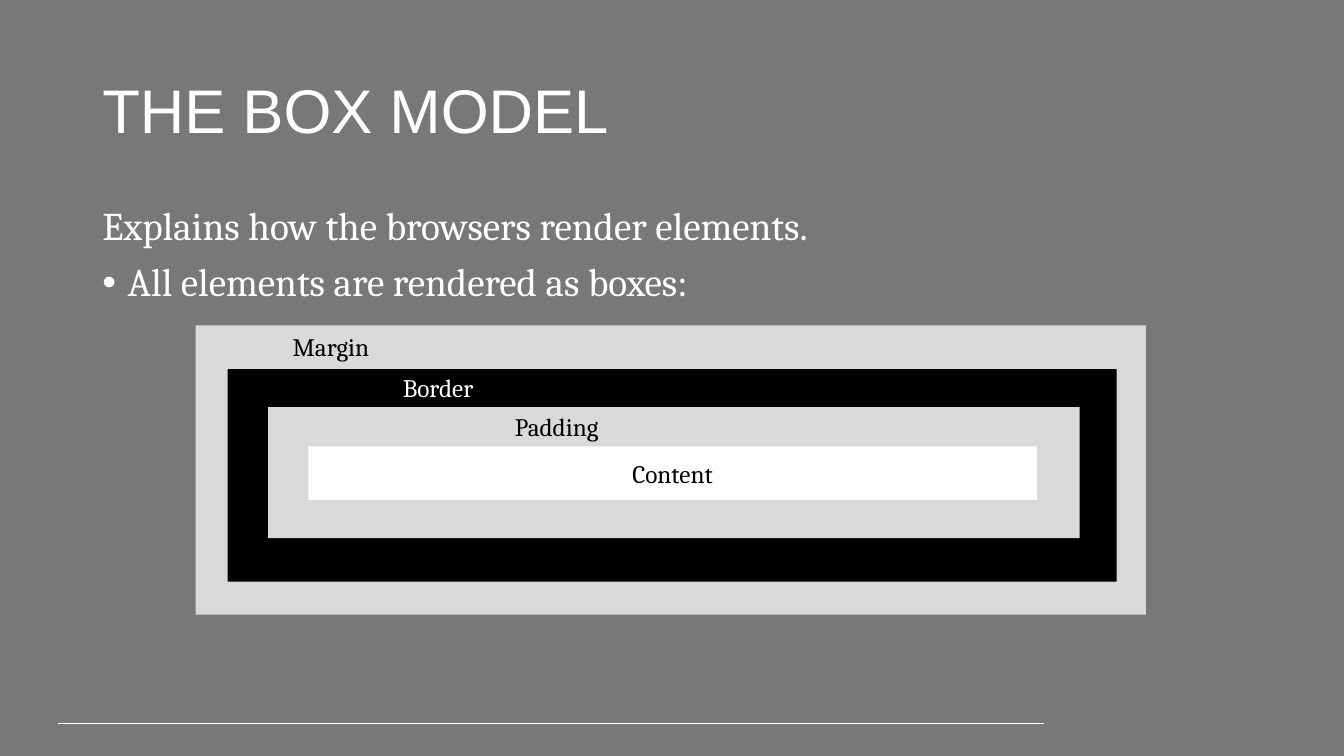
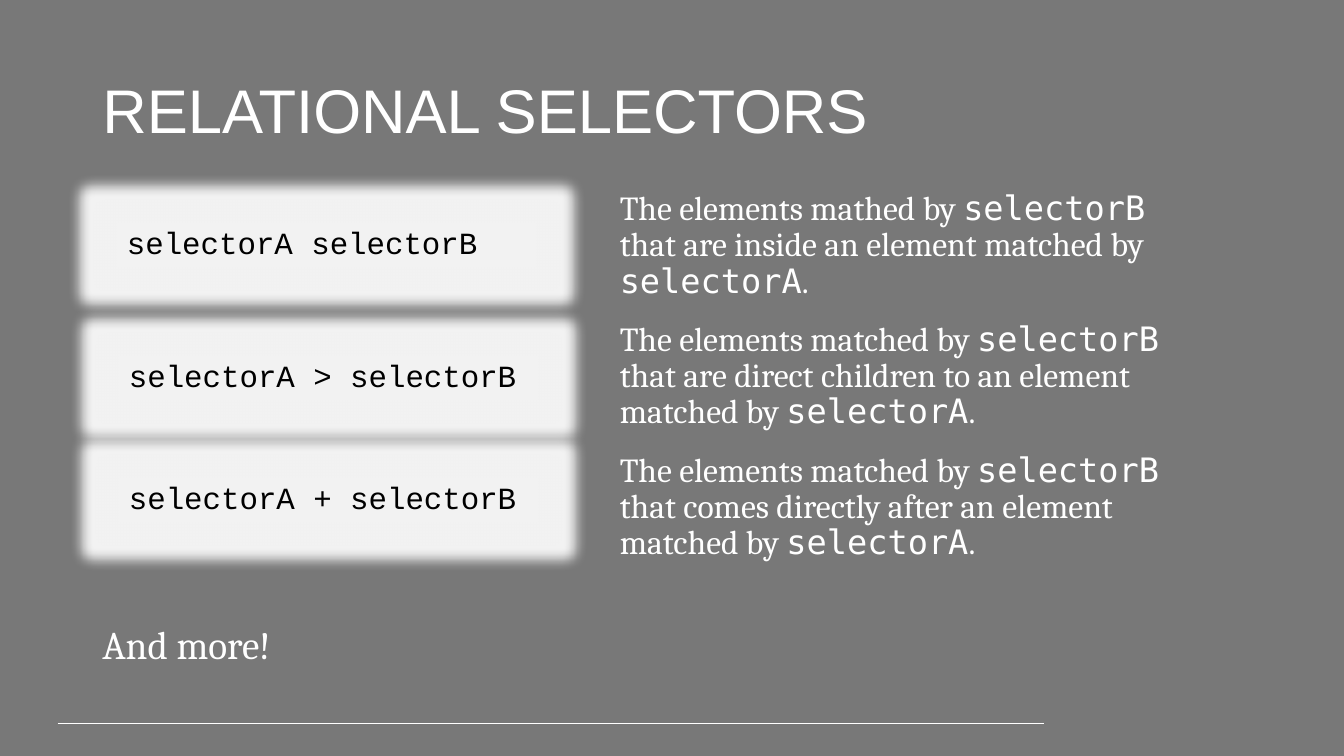
import lxml.etree
import pptx
import pptx.dml.color
import pptx.enum.shapes
import pptx.enum.text
import pptx.oxml.ns
import pptx.util

Cm = pptx.util.Cm
Pt = pptx.util.Pt
RGBColor = pptx.dml.color.RGBColor
ALIGN = pptx.enum.text.PP_ALIGN
ANCHOR = pptx.enum.text.MSO_ANCHOR
qn = pptx.oxml.ns.qn

GREY = RGBColor(0x78, 0x78, 0x78)
WHITE = RGBColor(0xFF, 0xFF, 0xFF)
BLACK = RGBColor(0x00, 0x00, 0x00)
SILVER = RGBColor(0xD9, 0xD9, 0xD9)
PALE = RGBColor(0xF2, 0xF2, 0xF2)

TITLE_FONT = "Arial"
BODY_FONT = "Cambria"
CODE_FONT = "Courier New"
INLINE_CODE_FONT = "DejaVu Sans Mono"

LEFT, WIDTH = 2.33, 29.21


class Deck:
    def __init__(self):
        self.presentation = pptx.Presentation()
        self.presentation.slide_width = Cm(33.87)
        self.presentation.slide_height = Cm(19.05)
        backdrop = self.presentation.slide_master.background.fill
        backdrop.solid()
        backdrop.fore_color.rgb = GREY
        self.slide = None

    def new_slide(self, title):
        self.slide = self.presentation.slides.add_slide(self.presentation.slide_layouts[6])
        footer_rule = self.slide.shapes.add_connector(
            pptx.enum.shapes.MSO_CONNECTOR.STRAIGHT, Cm(1.45), Cm(18.24), Cm(26.31), Cm(18.24))
        footer_rule.line.color.rgb = WHITE
        footer_rule.line.width = Pt(0.75)
        lxml.etree.SubElement(footer_rule._element.spPr, qn("a:effectLst"))
        self.text(LEFT, 1.01, WIDTH, 3.68, [title], 44, TITLE_FONT,
                  before=0, anchor=ANCHOR.MIDDLE, grow=False)

    def fill_text(self, frame, paragraphs, size, font=BODY_FONT, color=WHITE, spacing=0.9,
                  before=10, align=ALIGN.LEFT, anchor=ANCHOR.TOP, grow=True):
        frame.word_wrap = True
        frame.vertical_anchor = anchor
        if grow:
            frame.auto_size = pptx.enum.text.MSO_AUTO_SIZE.SHAPE_TO_FIT_TEXT
        for index, content in enumerate(paragraphs):
            paragraph = frame.add_paragraph() if index else frame.paragraphs[0]
            paragraph.alignment = align
            paragraph.line_spacing = spacing
            paragraph.space_before = Pt(before)
            for position, piece in enumerate(content.split("`")):
                run = paragraph.add_run()
                run.text = piece
                run.font.name = INLINE_CODE_FONT if position % 2 else font
                run.font.size = Pt(size)
                run.font.color.rgb = color

    def text(self, left, top, width, height, paragraphs, size, font=BODY_FONT, **style):
        frame = self.slide.shapes.add_textbox(
            Cm(left), Cm(top), Cm(width), Cm(height)).text_frame
        self.fill_text(frame, paragraphs, size, font, **style)
        return frame

    def bullet(self, paragraph):
        properties = paragraph._p.get_or_add_pPr()
        properties.set("marL", str(Cm(0.64)))
        properties.set("indent", str(-Cm(0.64)))
        lxml.etree.SubElement(properties, qn("a:buFont"), typeface=TITLE_FONT)
        lxml.etree.SubElement(properties, qn("a:buChar"), char="•")

    def label(self, left, top, caption, color):
        self.text(left, top, 6.78, 1.02, [caption], 18, color=color,
                  spacing=1, before=0, align=ALIGN.CENTER)

    def box(self, left, top, width, height, color):
        box = self.slide.shapes.add_shape(
            pptx.enum.shapes.MSO_SHAPE.RECTANGLE, Cm(left), Cm(top), Cm(width), Cm(height))
        box.shadow.inherit = False
        box.fill.solid()
        box.fill.fore_color.rgb = color
        box.line.fill.background()
        return box

    def code(self, left, top, snippet):
        panel = self.box(left, top, 10.57, 1.12, PALE)
        effects = panel._element.spPr.find(qn("a:effectLst"))
        glow = lxml.etree.SubElement(effects, qn("a:glow"), rad=str(Pt(18)))
        lxml.etree.SubElement(glow, qn("a:srgbClr"), val=str(PALE))
        self.fill_text(panel.text_frame, [snippet], 22, CODE_FONT, color=BLACK)


def box_model(deck):
    deck.new_slide("THE BOX MODEL")
    intro = deck.text(LEFT, 5.08, WIDTH, 2.77, [
        "Explains how the browsers render elements.",
        "All elements are rendered as boxes:"], 28)
    deck.bullet(intro.paragraphs[1])

    deck.box(4.93, 8.2, 23.95, 7.29, SILVER)
    deck.box(5.74, 9.3, 22.4, 5.36, BLACK)
    deck.box(6.76, 10.26, 20.45, 3.3, SILVER)
    content = deck.box(7.77, 11.25, 18.36, 1.35, WHITE)
    deck.fill_text(content.text_frame, ["Content"], 18, color=BLACK, spacing=1, before=0,
                   align=ALIGN.CENTER, anchor=ANCHOR.MIDDLE, grow=False)

    deck.label(4.95, 8.23, "Margin", BLACK)
    deck.label(7.65, 9.25, "Border", WHITE)
    deck.label(10.64, 10.24, "Padding", BLACK)


def relational_selectors(deck):
    deck.new_slide("RELATIONAL SELECTORS")
    selectors = [
        (2.95, 5.61, "selectorA selectorB",
         "The elements mathed by `selectorB` that are inside an element matched by `selectorA`."),
        (3, 8.97, "selectorA > selectorB",
         "The elements matched by `selectorB` that are direct children to an element "
         "matched by `selectorA`."),
        (3, 12.04, "selectorA + selectorB",
         "The elements matched by `selectorB` that comes directly after an element "
         "matched by `selectorA`."),
    ]
    for row, (left, top, snippet, meaning) in enumerate(selectors):
        deck.code(left, top, snippet)
        deck.text(15.37, 4.7 + 3.3 * row, 15.24, 3.02, [meaning], 24)
    deck.text(LEFT, 15.65, WIDTH, 1.35, ["And more!"], 28)


def main():
    deck = Deck()
    box_model(deck)
    relational_selectors(deck)
    deck.presentation.save("out.pptx")


if __name__ == "__main__":
    main()
